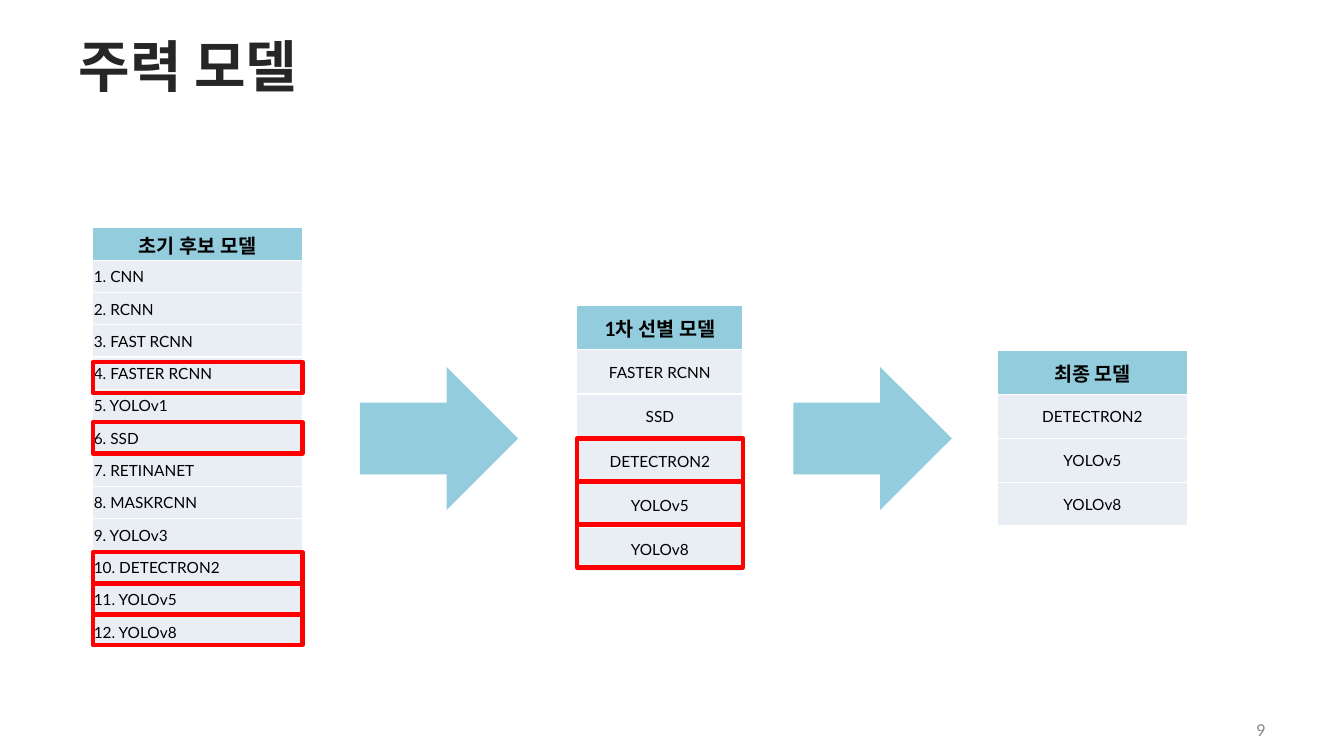
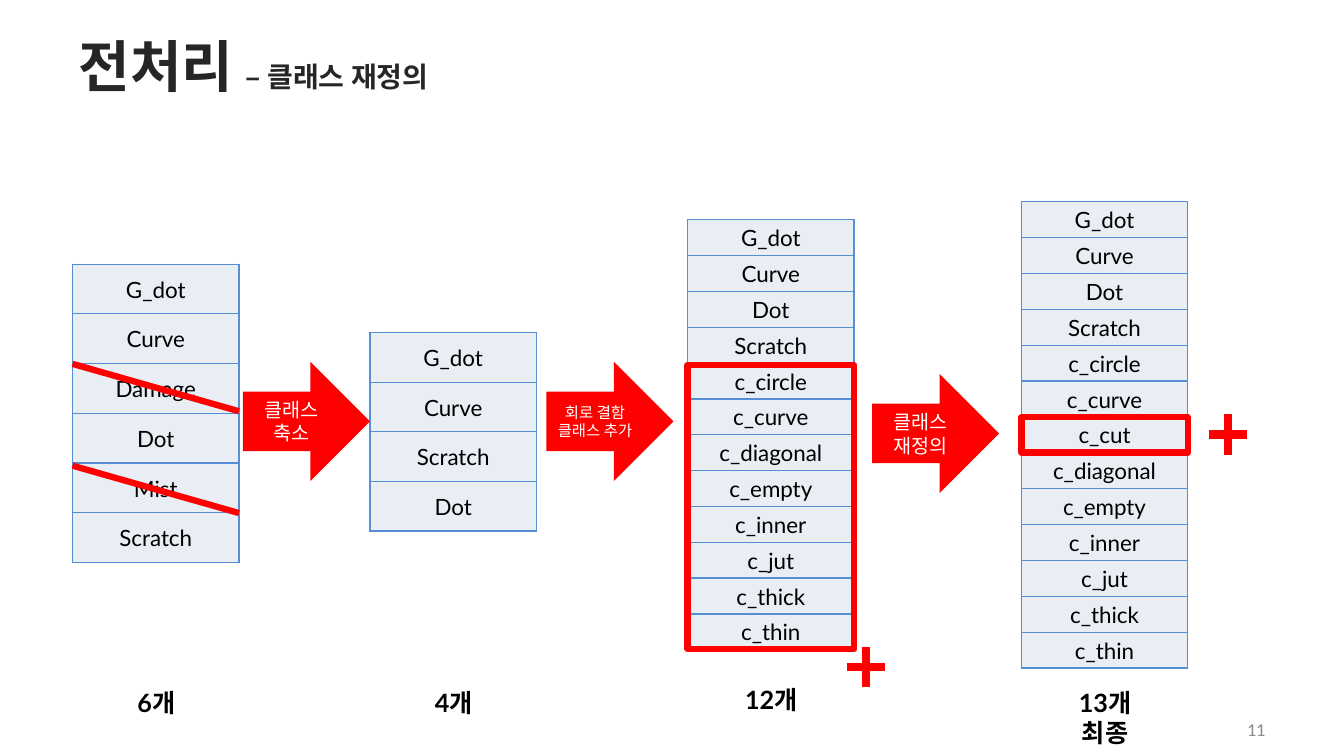
"""Build two slides on model selection and class preprocessing."""
from dataclasses import dataclass

from lxml import etree
from pptx import Presentation
from pptx import util as u
from pptx.dml import color
from pptx.enum import shapes, text
from pptx.oxml import ns

RED, TEAL, PALE, BLUE = "FF0000", "93CDDD", "E9EDF4", "558ED5"
BLACK, WHITE, TITLE_GREY, NUMBER_GREY = "000000", "FFFFFF", "262626", "8C8C8C"
LATIN, KOREAN = "Lato", "Noto Sans CJK KR"
CENTER, LEFT, RIGHT = text.PP_ALIGN.CENTER, text.PP_ALIGN.LEFT, text.PP_ALIGN.RIGHT
MIDDLE, TOP = text.MSO_ANCHOR.MIDDLE, text.MSO_ANCHOR.TOP
BOX_INSETS = (0.11, 0.05, 0.11, 0.05)
SHAPE_INSETS = (0.1, 0.05, 0.1, 0.05)
CELL_INSETS = (0.01, 0.01, 0.01, 0)
CLASS_WIDTH = 1.65
COMMON = ["G_dot", "Curve", "Dot", "Scratch", "c_circle", "c_curve"]
CIRCUIT = ["c_diagonal", "c_empty", "c_inner", "c_jut", "c_thick", "c_thin"]


@dataclass
class Box:
    left: float
    top: float
    width: float
    height: float

    def lengths(self) -> list:
        return [u.Inches(v) for v in (self.left, self.top, self.width, self.height)]


@dataclass
class Style:
    size: float
    color: str = BLACK
    bold: bool = False
    name: str = LATIN
    align: int = CENTER


@dataclass
class ListTable:
    box: Box
    items: list
    body: Style
    border: str
    header: str = ""


@dataclass
class Arrow:
    box: Box
    fill: str
    lines: tuple = ()
    size: float = 14


@dataclass
class Count:
    left: float
    top: float
    lines: tuple


HEADER = Style(14, bold=True)
MODEL = Style(11)
CLASS = Style(16)
COUNT = Style(18, bold=True)
TITLE = Style(40, TITLE_GREY, True, KOREAN, LEFT)
SUBTITLE = Style(20, TITLE_GREY, True, KOREAN, LEFT)
NUMBER = Style(13, NUMBER_GREY, name="Calibri", align=RIGHT)


def rgb(value: str) -> color.RGBColor:
    return color.RGBColor.from_string(value)


def add_run(paragraph, words: str, style: Style) -> None:
    run = paragraph.add_run()
    run.text = words
    values = {"size": u.Pt(style.size), "bold": style.bold, "name": style.name}
    for name, value in values.items():
        setattr(run.font, name, value)
    run.font.color.rgb = rgb(style.color)
    east_asian = etree.SubElement(run.font._element, ns.qn("a:ea"))
    east_asian.set("typeface", KOREAN)


def set_frame(frame, insets: tuple, anchor) -> None:
    left, top, right, bottom = (u.Inches(v) for v in insets)
    values = {"margin_left": left, "margin_top": top, "margin_right": right,
              "margin_bottom": bottom, "word_wrap": True, "vertical_anchor": anchor}
    for name, value in values.items():
        setattr(frame, name, value)


def write_lines(frame, lines: tuple, style: Style) -> None:
    for index, words in enumerate(lines):
        paragraph = frame.add_paragraph() if index else frame.paragraphs[0]
        paragraph.alignment = style.align
        add_run(paragraph, words, style)


def add_text(slide, box: Box, lines: tuple, style: Style, insets=BOX_INSETS, anchor=MIDDLE):
    frame = slide.shapes.add_textbox(*box.lengths()).text_frame
    set_frame(frame, insets, anchor)
    write_lines(frame, lines, style)
    return frame


def set_borders(cell, hex_color: str) -> None:
    properties = cell._tc.get_or_add_tcPr()
    for index, side in enumerate(("lnL", "lnR", "lnT", "lnB")):
        line = etree.Element(ns.qn(f"a:{side}"), w=str(u.Pt(1)))
        fill = etree.SubElement(line, ns.qn("a:solidFill"))
        etree.SubElement(fill, ns.qn("a:srgbClr"), val=hex_color)
        properties.insert(index, line)


def add_list_table(slide, spec_table: ListTable) -> None:
    rows = [(words, spec_table.body, PALE) for words in spec_table.items]
    if spec_table.header:
        rows.insert(0, (spec_table.header, HEADER, TEAL))
    table = slide.shapes.add_table(len(rows), 1, *spec_table.box.lengths()).table
    table.first_row = table.horz_banding = False
    for index, (words, style, fill) in enumerate(rows):
        table.rows[index].height = u.Inches(spec_table.box.height / len(rows))
        cell = table.cell(index, 0)
        set_frame(cell.text_frame, (0, 0, 0, 0), MIDDLE)
        cell.vertical_anchor = MIDDLE
        sides = ("margin_left", "margin_top", "margin_right", "margin_bottom")
        for side, inset in zip(sides, CELL_INSETS):
            setattr(cell, side, u.Inches(inset))
        write_lines(cell.text_frame, (words,), style)
        cell.fill.solid()
        cell.fill.fore_color.rgb = rgb(fill)
        set_borders(cell, spec_table.border)


def add_frame(slide, box: Box, width: float) -> None:
    shape = slide.shapes.add_shape(shapes.MSO_SHAPE.RECTANGLE, *box.lengths())
    shape.shadow.inherit = False
    shape.fill.background()
    shape.line.color.rgb = rgb(RED)
    shape.line.width = u.Pt(width)


def add_arrow(slide, arrow: Arrow) -> None:
    shape = slide.shapes.add_shape(shapes.MSO_SHAPE.RIGHT_ARROW, *arrow.box.lengths())
    shape.shadow.inherit = False
    shape.fill.solid()
    shape.fill.fore_color.rgb = rgb(arrow.fill)
    shape.line.fill.background()
    set_frame(shape.text_frame, SHAPE_INSETS, MIDDLE)
    write_lines(shape.text_frame, arrow.lines, Style(arrow.size, WHITE))


def add_line(slide, start: tuple, end: tuple, width: float) -> None:
    points = [u.Inches(v) for v in (*start, *end)]
    line = slide.shapes.add_connector(shapes.MSO_CONNECTOR.STRAIGHT, *points)
    line.line.color.rgb = rgb(RED)
    line.line.width = u.Pt(width)
    etree.SubElement(line._element.spPr, ns.qn("a:effectLst"))


def add_plus(slide, x: float, y: float) -> None:
    add_line(slide, (x, y - 0.2), (x, y + 0.2), 6)
    add_line(slide, (x - 0.19, y), (x + 0.19, y), 6)


def add_base(presentation, title: str, number: str, subtitle: str = ""):
    slide = presentation.slides.add_slide(presentation.slide_layouts[6])
    add_text(slide, Box(9.55, 7.11, 3.11, 0.24), (number,), NUMBER)
    frame = add_text(slide, Box(0.67, 0.21, 12, 0.87), (title,), TITLE)
    if subtitle:
        add_run(frame.paragraphs[0], subtitle, SUBTITLE)
    return slide


def build_models(presentation) -> None:
    slide = add_base(presentation, "주력 모델", "9")
    candidates = ["CNN", "RCNN", "FAST RCNN", "FASTER RCNN", "YOLOv1", "SSD", "RETINANET",
                  "MASKRCNN", "YOLOv3", "DETECTRON2", "YOLOv5", "YOLOv8"]
    final = candidates[-3:]
    numbered = [f"{index}. {name}" for index, name in enumerate(candidates, 1)]
    for table in (
        ListTable(Box(0.92, 2.26, 2.08, 4.17), numbered, Style(11, align=LEFT), WHITE, "초기 후보 모델"),
        ListTable(Box(9.89, 3.48, 1.89, 1.74), final, MODEL, WHITE, "최종 모델"),
        ListTable(Box(5.72, 3.03, 1.65, 2.64), ["FASTER RCNN", "SSD", *final], MODEL, WHITE,
                  "1차 선별 모델"),
    ):
        add_list_table(slide, table)
    for top in (3.59, 4.19, 5.48, 5.79, 6.09):
        add_frame(slide, Box(0.92, top, 2.08, 0.31), 3)
    for index in range(len(final)):
        add_frame(slide, Box(5.72, 4.35 + 0.425 * index, 1.65, 0.43), 3)
    for left in (3.57, 7.87):
        add_arrow(slide, Arrow(Box(left, 3.64, 1.57, 1.42), TEAL))


def build_classes(presentation) -> None:
    slide = add_base(presentation, "전처리 ", "11", "– 클래스 재정의")
    for left, top, height, items in (
        (0.72, 2.62, 2.96, ["G_dot", "Curve", "Damage", "Dot", "Mist", "Scratch"]),
        (3.67, 3.3, 1.97, ["G_dot", "Curve", "Scratch", "Dot"]),
        (6.82, 2.18, 4.27, COMMON + CIRCUIT),
        (10.13, 2, 4.63, [*COMMON, "c_cut", *CIRCUIT]),
    ):
        add_list_table(slide, ListTable(Box(left, top, CLASS_WIDTH, height), items, CLASS, BLUE))
    for left, top, lines, size in (
        (5.42, 3.59, ("회로 결함", "클래스 추가"), 11),
        (8.65, 3.71, ("클래스", "재정의"), 14),
        (2.41, 3.59, ("클래스 축소",), 14),
    ):
        add_arrow(slide, Arrow(Box(left, top, 1.26, 1.18), RED, lines, size))
    for top in (3.61, 4.62):
        add_line(slide, (0.72, top), (0.72 + CLASS_WIDTH, top + 0.47), 4.5)
    for box in (Box(6.82, 3.62, CLASS_WIDTH, 2.82), Box(10.13, 4.14, CLASS_WIDTH, 0.35)):
        add_frame(slide, box, 4.5)
    for x, y in ((8.59, 6.62), (12.18, 4.31)):
        add_plus(slide, x, y)
    for count in (Count(0.84, 6.77, ("6개",)), Count(3.79, 6.77, ("4개",)),
                  Count(6.94, 6.74, ("12개",)), Count(10.25, 6.77, ("13개", "최종"))):
        box = Box(count.left, count.top, 1.42, 0.09 + 0.31 * len(count.lines))
        add_text(slide, box, count.lines, COUNT, SHAPE_INSETS, TOP)


def main() -> None:
    presentation = Presentation()
    presentation.slide_width = u.Inches(13.33)
    presentation.slide_height = u.Inches(7.5)
    build_models(presentation)
    build_classes(presentation)
    presentation.save("out.pptx")


if __name__ == "__main__":
    main()
